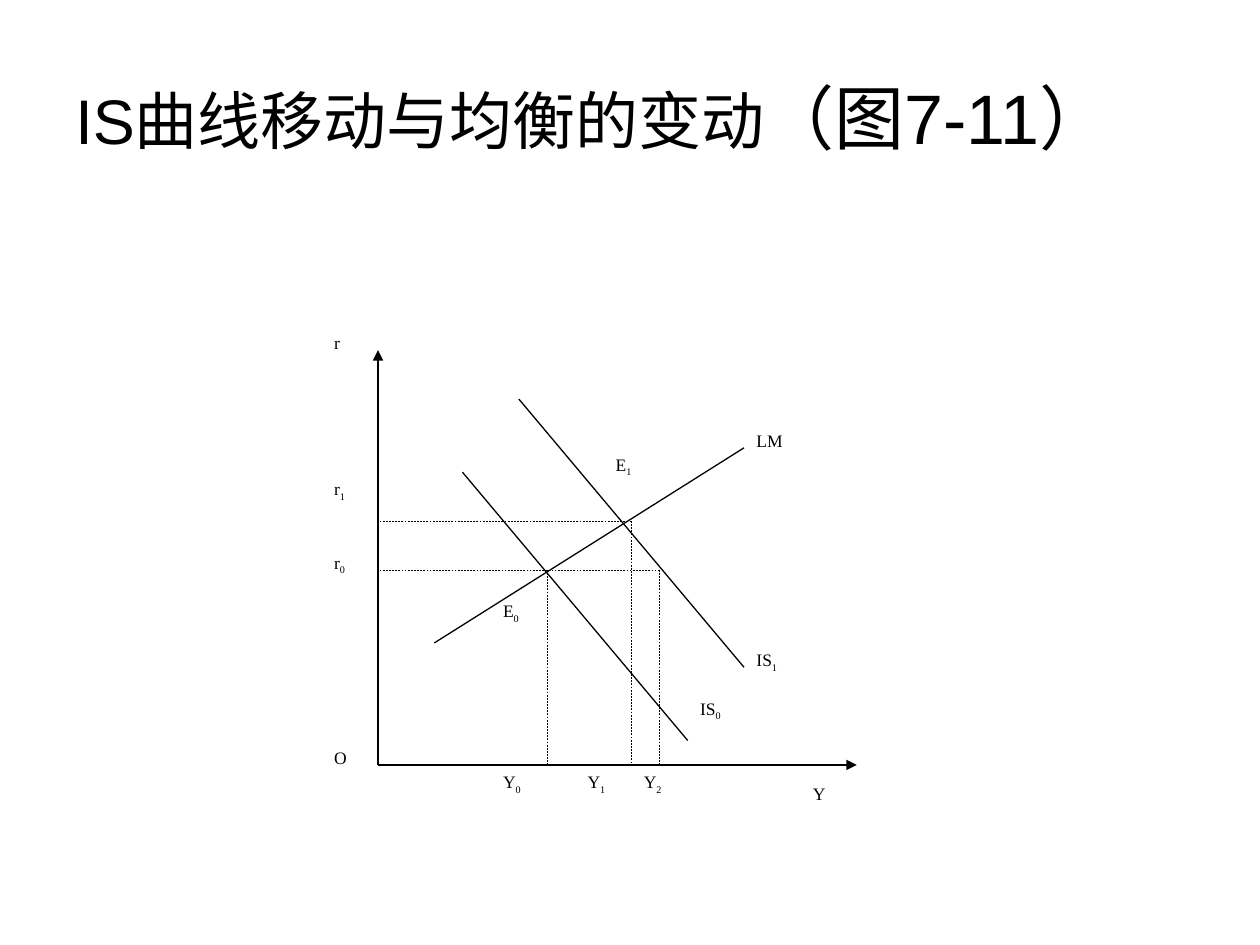
import pptx
import pptx.dml.color
import pptx.enum.dml
import pptx.enum.shapes
import pptx.enum.text
import pptx.oxml
import pptx.oxml.ns
import pptx.util

Cm = pptx.util.Cm
Pt = pptx.util.Pt
ALIGN = pptx.enum.text.PP_ALIGN
ANCHOR = pptx.enum.text.MSO_ANCHOR
BLACK = pptx.dml.color.RGBColor(0, 0, 0)

# The chart lies on a grid of 17 by 17 cells, counted from the origin O.
LEFT, BASE = 7.62, 15.42
COL, ROW = 9.65 / 17, 8.36 / 17

AXES = [(0, 0, 0, 17), (0, 0, 17, 0)]
CURVES = [(3, 12, 11, 1), (5, 15, 13, 4), (2, 5, 13, 13)]
GUIDES = [(9, 10, 9, 0), (9, 10, 0, 10), (10, 8, 0, 8),
          (6, 8, 6, 0), (10, 8, 10, 0)]
# name, subscript, column, row of the top left corner, columns wide
LABELS = [
    ("r", "", -2, 18, 3), ("O", "", -2, 1, 3),
    ("LM", "", 13, 14, 4), ("IS", "1", 13, 5, 4), ("IS", "0", 11, 3, 4),
    ("E", "1", 8, 13, 3), ("E", "0", 4, 7, 3),
    ("r", "1", -2, 12, 3), ("r", "0", -2, 9, 3),
    ("Y", "", 15, -0.5, 3),
    ("Y", "0", 4, 0, 3), ("Y", "1", 7, 0, 3), ("Y", "2", 9, 0, 3),
]


def spot(col, row):
    """Turn a grid point into slide lengths."""
    return Cm(LEFT + col * COL), Cm(BASE - row * ROW)


def add_text(slide, runs, box, font="Times New Roman",
             align=ALIGN.JUSTIFY, anchor=ANCHOR.TOP):
    """Add a text box; each run is (text, size, is subscript)."""
    frame = slide.shapes.add_textbox(*box).text_frame
    frame.word_wrap = True
    frame.vertical_anchor = anchor
    para = frame.paragraphs[0]
    para.alignment = align
    for text, size, sub in runs:
        run = para.add_run()
        run.text = text
        run.font.name = font
        run.font.size = Pt(size)
        run.font.color.rgb = BLACK
        if sub:
            run.font._element.set("baseline", "-25000")


def add_line(slide, ends, width=0.75, dash=False, arrow=False):
    col, row, col2, row2 = ends
    line = slide.shapes.add_connector(
        pptx.enum.shapes.MSO_CONNECTOR.STRAIGHT,
        *spot(col, row), *spot(col2, row2))
    line.line.color.rgb = BLACK
    line.line.width = Pt(width)
    if dash:
        line.line.dash_style = pptx.enum.dml.MSO_LINE.DASH
    if arrow:
        tip = pptx.oxml.parse_xml(
            f'<a:tailEnd {pptx.oxml.ns.nsdecls("a")} type="triangle"/>')
        line.line._get_or_add_ln().append(tip)
    line._element.spPr.append(pptx.oxml.parse_xml(
        f'<a:effectLst {pptx.oxml.ns.nsdecls("a")}/>'))


def add_label(slide, name, sub, col, row, wide):
    runs = [(name, 10, False)]
    if sub:
        runs.append((sub, 10, True))
    box = (*spot(col, row), Cm(wide * COL), Cm(3 * ROW))
    add_text(slide, runs, box)


def main():
    deck = pptx.Presentation()
    deck.slide_width, deck.slide_height = Cm(25.4), Cm(19.05)
    slide = deck.slides.add_slide(deck.slide_layouts[6])

    title = [("IS曲线移动与均衡的变动", 36, False), ("（图7-11）", 40, False)]
    add_text(slide, title, (Cm(1.27), Cm(0.76), Cm(22.86), Cm(3.18)),
             font="Arial", align=ALIGN.LEFT, anchor=ANCHOR.MIDDLE)
    for ends in AXES:
        add_line(slide, ends, arrow=True)
    for ends in CURVES:
        add_line(slide, ends)
    for ends in GUIDES:
        add_line(slide, ends, width=0.25, dash=True)
    for label in LABELS:
        add_label(slide, *label)
    deck.save("out.pptx")


if __name__ == "__main__":
    main()
